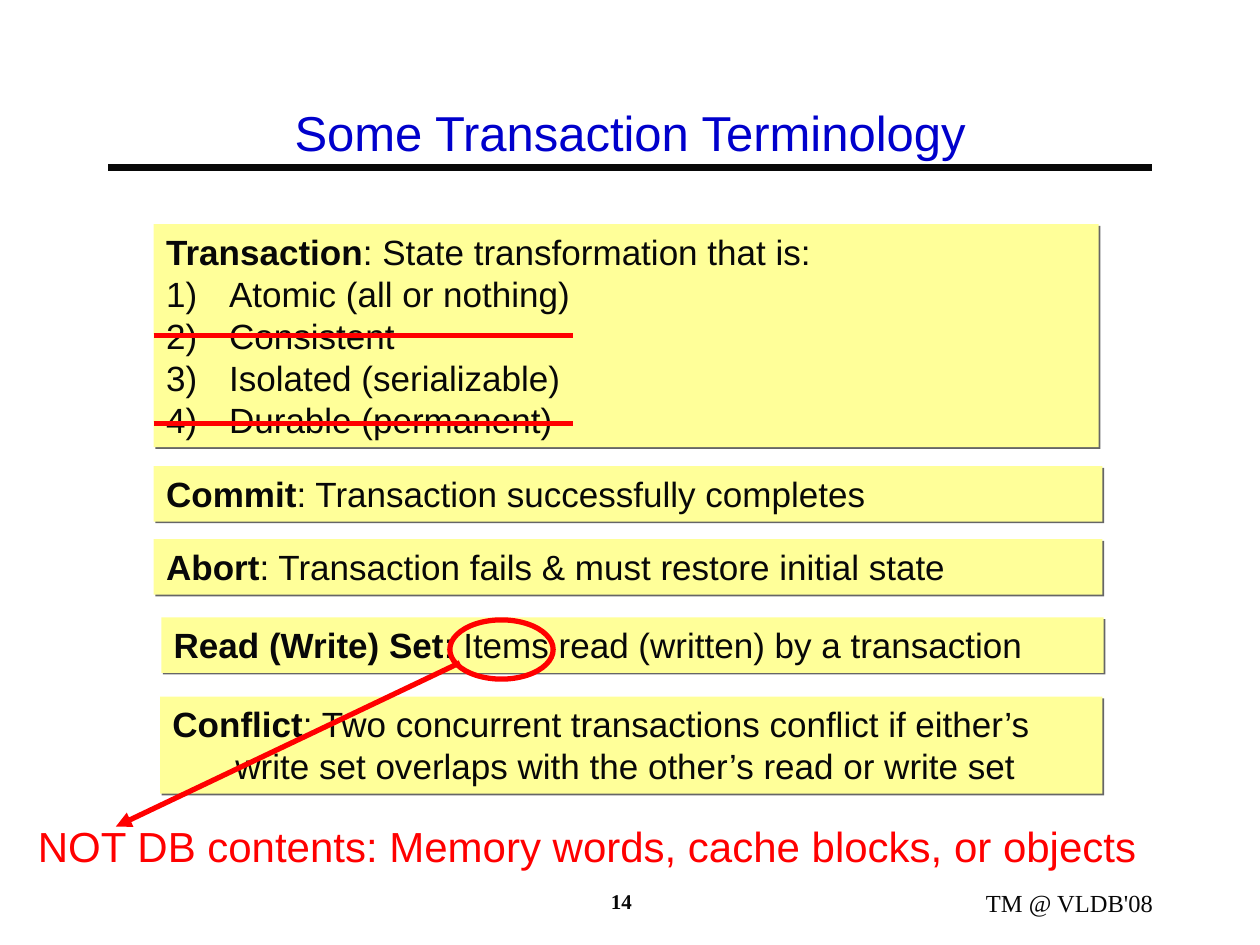
from lxml import etree
from pptx import Presentation
from pptx.dml.color import RGBColor
from pptx.enum.shapes import MSO_CONNECTOR, MSO_SHAPE
from pptx.enum.text import MSO_ANCHOR, PP_ALIGN
from pptx.oxml import parse_xml
from pptx.oxml.ns import nsdecls, qn
from pptx.util import Emu, Inches, Pt

BLUE = RGBColor(0x00, 0x00, 0xCC)
INK = RGBColor(0x08, 0x08, 0x08)
RED = RGBColor(0xFF, 0x00, 0x00)
YELLOW = RGBColor(0xFF, 0xFF, 0x99)
STRAIGHT = MSO_CONNECTOR.STRAIGHT
RECT, OVAL = MSO_SHAPE.RECTANGLE, MSO_SHAPE.OVAL
LEFT, CENTER, RIGHT = PP_ALIGN.LEFT, PP_ALIGN.CENTER, PP_ALIGN.RIGHT
TOP, MIDDLE = MSO_ANCHOR.TOP, MSO_ANCHOR.MIDDLE
SANS, SERIF = "Arial", "Times New Roman"
LINE_HEIGHT = 1.2

PROPERTIES = ["Atomic (all or nothing)", "Consistent",
              "Isolated (serializable)", "Durable (permanent)"]
DEFINITIONS = [
    ((1.22, 1.78, 7.5, 1.77), "Transaction",
     ": State transformation that is:", PROPERTIES),
    ((1.22, 3.7, 7.53, 0.44), "Commit",
     ": Transaction successfully completes", []),
    ((1.22, 4.28, 7.53, 0.44), "Abort",
     ": Transaction fails & must restore initial state", []),
    ((1.28, 4.9, 7.48, 0.44), "Read (Write) Set",
     ": Items read (written) by a transaction", []),
    ((1.27, 5.53, 7.48, 0.77), "Conflict",
     ": Two concurrent transactions conflict if either’s "
     "write set overlaps with the other’s read or write set", []),
]


def inches(box):
    return [Inches(v) for v in box]


def style_run(r, size, color, font=SANS, bold=False):
    r.font.size = Pt(size)
    r.font.name = font
    r.font.bold = bold
    r.font.color.rgb = color


def add_text(s, box, text, size, color, font=SANS, bold=False,
             align=LEFT, anchor=TOP):
    tf = s.shapes.add_textbox(*inches(box)).text_frame
    tf.word_wrap = True
    tf.vertical_anchor = anchor
    p = tf.paragraphs[0]
    p.text = text
    p.alignment = align
    if font == SANS:
        p.line_spacing = Pt(size * LINE_HEIGHT)
    style_run(p.runs[0], size, color, font, bold)


def add_line(s, start, end, color, width, arrow=False):
    line = s.shapes.add_connector(STRAIGHT, *inches(start + end))
    line.line.color.rgb = color
    line.line.width = Pt(width)
    if arrow:
        ln = line.line._get_or_add_ln()
        etree.SubElement(ln, qn("a:tailEnd"), type="triangle")
    etree.SubElement(line._element.spPr, qn("a:effectLst"))


def add_hard_shadow(sp):
    sp.shadow.inherit = False
    effects = sp._element.spPr.find(qn("a:effectLst"))
    effects.append(parse_xml(
        f'<a:outerShdw {nsdecls("a")} blurRad="0" dist="{Pt(1.4)}" '
        'dir="2700000" algn="ctr" rotWithShape="0"><a:srgbClr val="333333">'
        '<a:alpha val="75000"/></a:srgbClr></a:outerShdw>'))


def format_hanging(p):
    p.alignment = LEFT
    p.line_spacing = Pt(20 * LINE_HEIGHT)
    pPr = p._p.get_or_add_pPr()
    pPr.set("marL", str(Inches(0.5)))
    pPr.set("indent", str(Inches(-0.5)))
    return pPr


def number_paragraph(pPr):
    color = etree.SubElement(pPr, qn("a:buClr"))
    etree.SubElement(color, qn("a:srgbClr"), val=str(INK))
    etree.SubElement(pPr, qn("a:buFontTx"))
    etree.SubElement(pPr, qn("a:buAutoNum"), type="arabicParenR")


def add_definition(s, box, term, meaning, items):
    sp = s.shapes.add_shape(RECT, *inches(box))
    sp.fill.solid()
    sp.fill.fore_color.rgb = YELLOW
    sp.line.fill.background()
    add_hard_shadow(sp)
    tf = sp.text_frame
    tf.word_wrap = True
    tf.vertical_anchor = TOP
    p = tf.paragraphs[0]
    format_hanging(p)
    for text, bold in ((term, True), (meaning, False)):
        r = p.add_run()
        r.text = text
        style_run(r, 20, INK, bold=bold)
    for item in items:
        p = tf.add_paragraph()
        p.text = item
        number_paragraph(format_hanging(p))
        style_run(p.runs[0], 20, INK)


def add_ring(s, box):
    sp = s.shapes.add_shape(OVAL, *inches(box))
    sp.shadow.inherit = False
    sp.fill.background()
    sp.line.color.rgb = RED
    sp.line.width = Pt(3)


def main():
    prs = Presentation()
    prs.slide_width, prs.slide_height = Inches(10), Inches(7.5)
    s = prs.slides.add_slide(prs.slide_layouts[6])

    add_line(s, (0.86, 1.33), (9.14, 1.33), INK, 4)
    add_text(s, (0.75, 0.67, 8.5, 0.75), "Some Transaction Terminology",
             28, BLUE, align=CENTER, anchor=MIDDLE)
    for definition in DEFINITIONS:
        add_definition(s, *definition)
    for y in (2.66, 3.36):
        add_line(s, (1.22, y), (4.55, y), RED, 3)

    add_text(s, (0.11, 6.46, 9.81, 0.5),
             " NOT DB contents: Memory words, cache blocks, or objects",
             24, RED)
    add_line(s, (3.65, 5.26), (0.92, 6.56), RED, 3, arrow=True)
    add_ring(s, (3.57, 4.92, 0.82, 0.47))

    add_text(s, (6.33, 7, 2.92, 0.33), "TM @ VLDB'08", 14, INK, SERIF,
             align=RIGHT)
    add_text(s, (4.75, 7, 1.42, 0.33), "14", 12, INK, SERIF, bold=True)
    prs.save("out.pptx")


if __name__ == "__main__":
    main()
